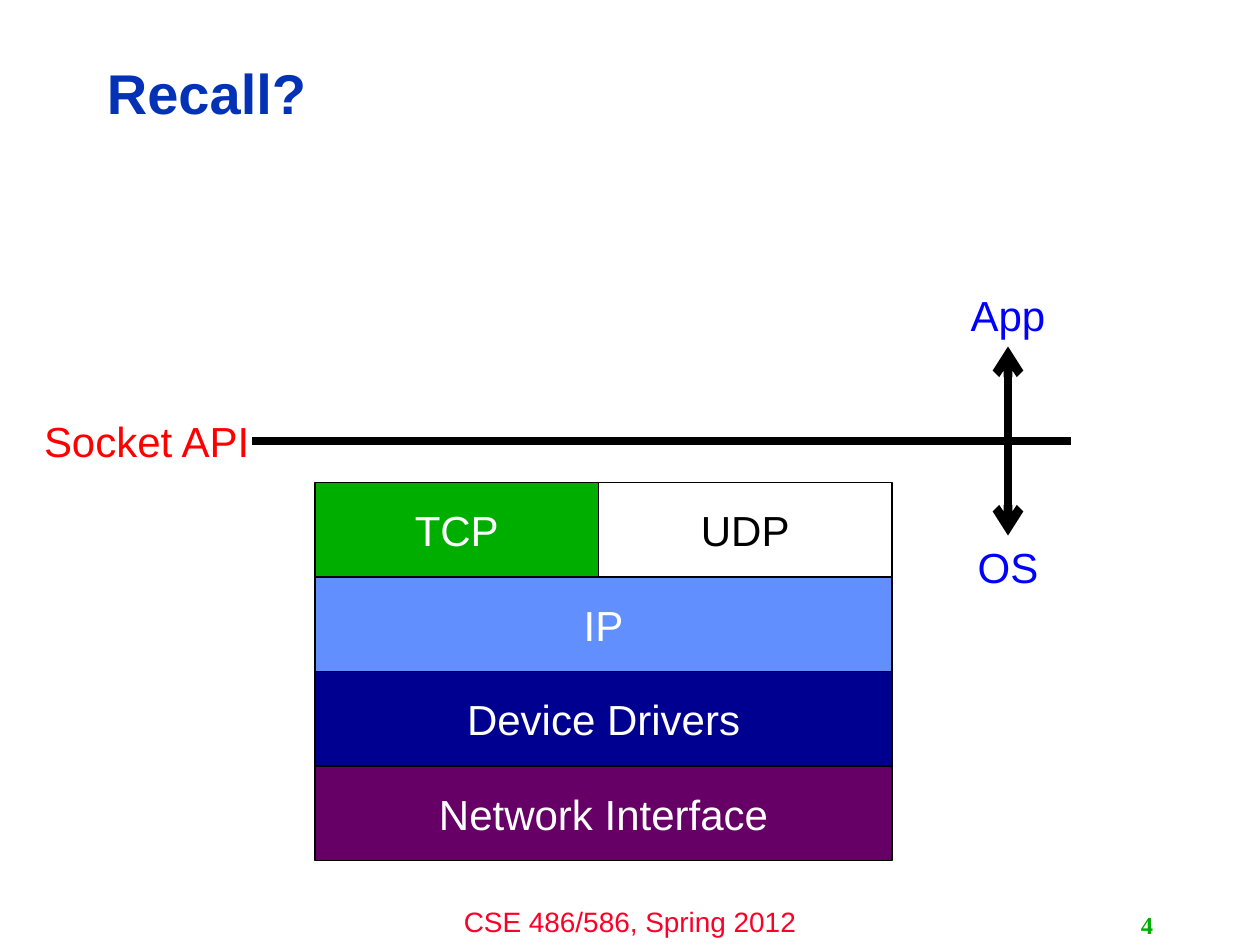
from dataclasses import dataclass

import pptx
import pptx.dml.color
import pptx.enum.shapes
import pptx.enum.text
import pptx.oxml.ns
import pptx.util
from lxml import etree

Inches = pptx.util.Inches
Pt = pptx.util.Pt
Align = pptx.enum.text.PP_ALIGN
Anchor = pptx.enum.text.MSO_ANCHOR
qn = pptx.oxml.ns.qn


@dataclass(frozen=True)
class Theme:
    font: str = "Arial"
    number_font: str = "Times New Roman"
    title_size: int = 32
    body_size: int = 24
    footer_size: int = 16
    number_size: int = 14
    border_width: float = 0.75
    rule_width: float = 5
    black: str = "000000"
    white: str = "FFFFFF"
    title: str = "0332B7"
    footer: str = "FC0128"
    green: str = "00AE00"
    sky: str = "618FFD"
    navy: str = "000090"
    purple: str = "660066"
    side: str = "0000FF"
    api: str = "FF0000"


THEME = Theme()


def rgb(value):
    return pptx.dml.color.RGBColor.from_string(value)


def write(shape, text, size, color, align=Align.CENTER, anchor=Anchor.MIDDLE,
          bold=False, font=THEME.font):
    frame = shape.text_frame
    frame.text = text
    frame.word_wrap = True
    frame.vertical_anchor = anchor
    paragraph = frame.paragraphs[0]
    paragraph.alignment = align
    paragraph.font.name = font
    paragraph.font.size = Pt(size)
    paragraph.font.bold = bold
    paragraph.font.color.rgb = rgb(color)
    return paragraph


def add_label(slide, box, text, size, color, **style):
    label = slide.shapes.add_textbox(*map(Inches, box))
    write(label, text, size, color, **style)
    return label


def add_layer(slide, box, text, fill, color=THEME.white):
    layer = slide.shapes.add_shape(
        pptx.enum.shapes.MSO_SHAPE.RECTANGLE, *map(Inches, box))
    layer.shadow.inherit = False
    layer.fill.solid()
    layer.fill.fore_color.rgb = rgb(fill)
    layer.line.color.rgb = rgb(THEME.black)
    layer.line.width = Pt(THEME.border_width)
    write(layer, text, THEME.body_size, color)


def add_rule(slide, start, end):
    rule = slide.shapes.add_connector(
        pptx.enum.shapes.MSO_CONNECTOR.STRAIGHT, *map(Inches, start + end))
    rule.line.color.rgb = rgb(THEME.black)
    rule.line.width = Pt(THEME.rule_width)
    etree.SubElement(rule._element.spPr, qn("a:effectLst"))
    return rule


def add_arrow(slide, start, target, site):
    arrow = add_rule(slide, start, start)
    arrow.end_connect(target, site)
    etree.SubElement(arrow.line._get_or_add_ln(), qn("a:tailEnd"), type="arrow")


def add_title(slide, box):
    paragraph = write(slide.shapes.add_textbox(*map(Inches, box)), "Recall?",
                      THEME.title_size, THEME.title, align=Align.LEFT, bold=True)
    paragraph.line_spacing = 0.9


def add_protocol_stack(slide, box):
    left, top, width, height = box
    row_height = height / 4
    tcp_width = 2.25
    add_layer(slide, (left, top, tcp_width, row_height), "TCP", THEME.green)
    add_layer(slide, (left + tcp_width, top, width - tcp_width, row_height),
              "UDP", THEME.white, THEME.black)
    layers = [("IP", THEME.sky), ("Device Drivers", THEME.navy),
              ("Network Interface", THEME.purple)]
    for row, (text, fill) in enumerate(layers, start=1):
        add_layer(slide, (left, top + row * row_height, width, row_height), text, fill)


def add_socket_boundary(slide, box):
    left, top, width, height = box
    middle = top + height / 2
    label_height = 0.5
    side_width = 1.34
    side_left = left + width - side_width
    center = side_left + side_width / 2
    add_label(slide, (left, middle - label_height / 2, 1.83, label_height),
              "Socket API", THEME.body_size, THEME.api, anchor=Anchor.TOP)
    add_rule(slide, (left + 1.75, middle), (center + 0.5, middle))
    sides = [("App", top, 2), ("OS", top + height - label_height, 0)]
    for text, label_top, site in sides:
        label = add_label(slide, (side_left, label_top, side_width, label_height),
                          text, THEME.body_size, THEME.side, anchor=Anchor.TOP)
        add_arrow(slide, (center, middle), label, site)


def add_footer(slide, box):
    left, top, width, height = box
    text_width = 3.33
    add_label(slide, (left + (width - text_width) / 2, top, text_width, height),
              "CSE 486/586, Spring 2012", THEME.footer_size, THEME.footer,
              anchor=Anchor.TOP)
    add_label(slide, (7.17, top + 0.05, 2.08, height - 0.05), "4",
              THEME.number_size, THEME.green, align=Align.RIGHT, bold=True,
              font=THEME.number_font)


def main():
    presentation = pptx.Presentation()
    presentation.slide_width = Inches(10)
    presentation.slide_height = Inches(7.5)
    slide = presentation.slides.add_slide(presentation.slide_layouts[6])
    add_footer(slide, (0, 7.13, 10, 0.37))
    add_title(slide, (0.75, 0.36, 7.98, 0.81))
    add_protocol_stack(slide, (2.5, 3.83, 4.58, 3))
    add_socket_boundary(slide, (0.25, 2.25, 8.42, 2.5))
    presentation.save("out.pptx")


if __name__ == "__main__":
    main()
